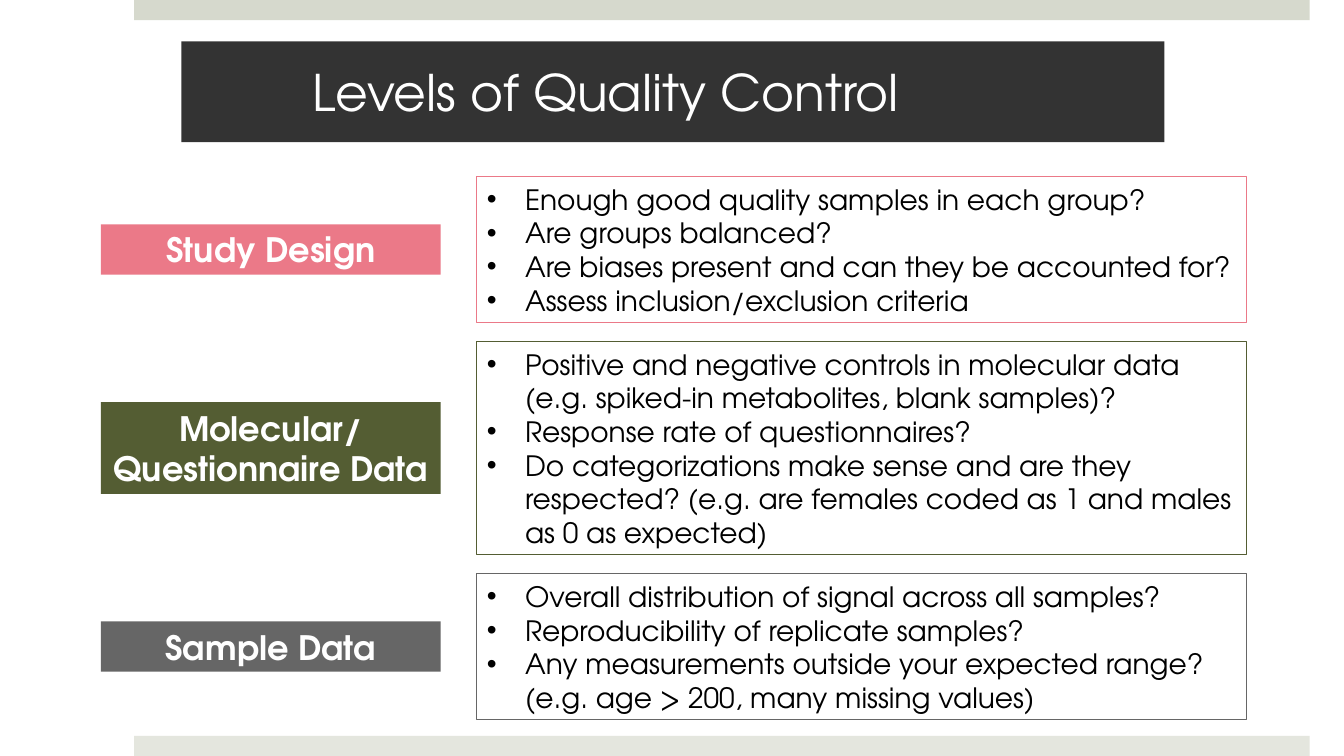
"""Build the Levels of Quality Control slide."""
import pptx
import pptx.dml.color
import pptx.enum.shapes
import pptx.enum.text
import pptx.oxml.ns
import pptx.util
from lxml import etree

Inches = pptx.util.Inches
FONT = "TeX Gyre Adventor"
COLORS = {
    "white": "FFFFFF", "black": "000000", "title": "333333",
    "top band": "D6D9CD", "bottom band": "E4E6DE",
    "pink": "EB7988", "olive": "545D33", "gray": "666666",
}
TITLE = "Levels of Quality Control"
LEVELS = [
    {"color": "pink", "label": ["Study Design"], "label_height": 0.5, "height": 1.45,
     "checks": ["Enough good quality samples in each group?",
                "Are groups balanced?",
                "Are biases present and can they be accounted for?",
                "Assess inclusion/exclusion criteria"]},
    {"color": "olive", "label": ["Molecular/", "Questionnaire Data"],
     "label_height": 0.91, "height": 2.11,
     "checks": ["Positive and negative controls in molecular data "
                "(e.g. spiked-in metabolites, blank samples)?",
                "Response rate of questionnaires?",
                "Do categorizations make sense and are they respected? "
                "(e.g. are females coded as 1 and males as 0 as expected)"]},
    {"color": "gray", "label": ["Sample Data"], "label_height": 0.5, "height": 1.45,
     "checks": ["Overall distribution of signal across all samples?",
                "Reproducibility of replicate samples?",
                "Any measurements outside your expected range? "
                "(e.g. age > 200, many missing values)"]},
]
BANDS = [("top band", 0), ("bottom band", 7.3)]
BAND_LEFT, BAND_WIDTH, BAND_HEIGHT = 1.33, 11.66, 0.2
LABEL_LEFT, LABEL_WIDTH = 1, 3.37
CHECKS_LEFT, CHECKS_WIDTH = 4.73, 7.63
FIRST_TOP, GAP = 1.75, 0.19
INDENT = 0.38


def rgb(name):
    return pptx.dml.color.RGBColor.from_string(COLORS[name])


def add_box(slide, left, top, width, height, fill=None, line=None):
    box = slide.shapes.add_shape(
        pptx.enum.shapes.MSO_SHAPE.RECTANGLE,
        Inches(left), Inches(top), Inches(width), Inches(height))
    box.shadow.inherit = False
    if fill:
        box.fill.solid()
        box.fill.fore_color.rgb = rgb(fill)
    else:
        box.fill.background()
    if line:
        box.line.color.rgb = rgb(line)
        box.line.width = pptx.util.Pt(0.75)
    else:
        box.line.fill.background()
    return box


def add_bullet(para):
    properties = para._p.get_or_add_pPr()
    properties.set("marL", str(Inches(INDENT)))
    properties.set("indent", str(-Inches(INDENT)))
    font = etree.SubElement(properties, pptx.oxml.ns.qn("a:buFont"))
    font.set("typeface", "Arial")
    bullet = etree.SubElement(properties, pptx.oxml.ns.qn("a:buChar"))
    bullet.set("char", "•")


def write(box, lines, size, color, align, bold=False, bullets=False):
    frame = box.text_frame
    frame.word_wrap = True
    frame.auto_size = pptx.enum.text.MSO_AUTO_SIZE.NONE
    frame.vertical_anchor = pptx.enum.text.MSO_ANCHOR.MIDDLE
    for index, line in enumerate(lines):
        para = frame.add_paragraph() if index else frame.paragraphs[0]
        para.alignment = align
        if bullets:
            add_bullet(para)
        span = para.add_run()
        span.text = line
        span.font.name = FONT
        span.font.size = pptx.util.Pt(size)
        span.font.bold = bold
        span.font.color.rgb = rgb(color)


def add_title(slide):
    title = slide.shapes.title
    title.left, title.top = Inches(1.8), Inches(0.41)
    title.width, title.height = Inches(9.75), Inches(1)
    title.fill.solid()
    title.fill.fore_color.rgb = rgb("title")
    title.text_frame.margin_left = Inches(1.3)
    title.text_frame.margin_right = Inches(0.3)
    write(title, [TITLE], 36, "white", pptx.enum.text.PP_ALIGN.LEFT)


def add_levels(slide):
    top = FIRST_TOP
    for level in LEVELS:
        label_top = top + (level["height"] - level["label_height"]) / 2
        label = add_box(slide, LABEL_LEFT, label_top, LABEL_WIDTH,
                        level["label_height"], fill=level["color"])
        write(label, level["label"], 24, "white",
              pptx.enum.text.PP_ALIGN.CENTER, bold=True)
        checks = add_box(slide, CHECKS_LEFT, top, CHECKS_WIDTH,
                         level["height"], line=level["color"])
        write(checks, level["checks"], 20, "black",
              pptx.enum.text.PP_ALIGN.LEFT, bullets=True)
        top += level["height"] + GAP


def main():
    deck = pptx.Presentation()
    deck.slide_width, deck.slide_height = Inches(13.33), Inches(7.5)
    slide = deck.slides.add_slide(deck.slide_layouts.get_by_name("Title Only"))
    for color, top in BANDS:
        add_box(slide, BAND_LEFT, top, BAND_WIDTH, BAND_HEIGHT, fill=color)
    add_title(slide)
    add_levels(slide)
    deck.save("out.pptx")


if __name__ == "__main__":
    main()
